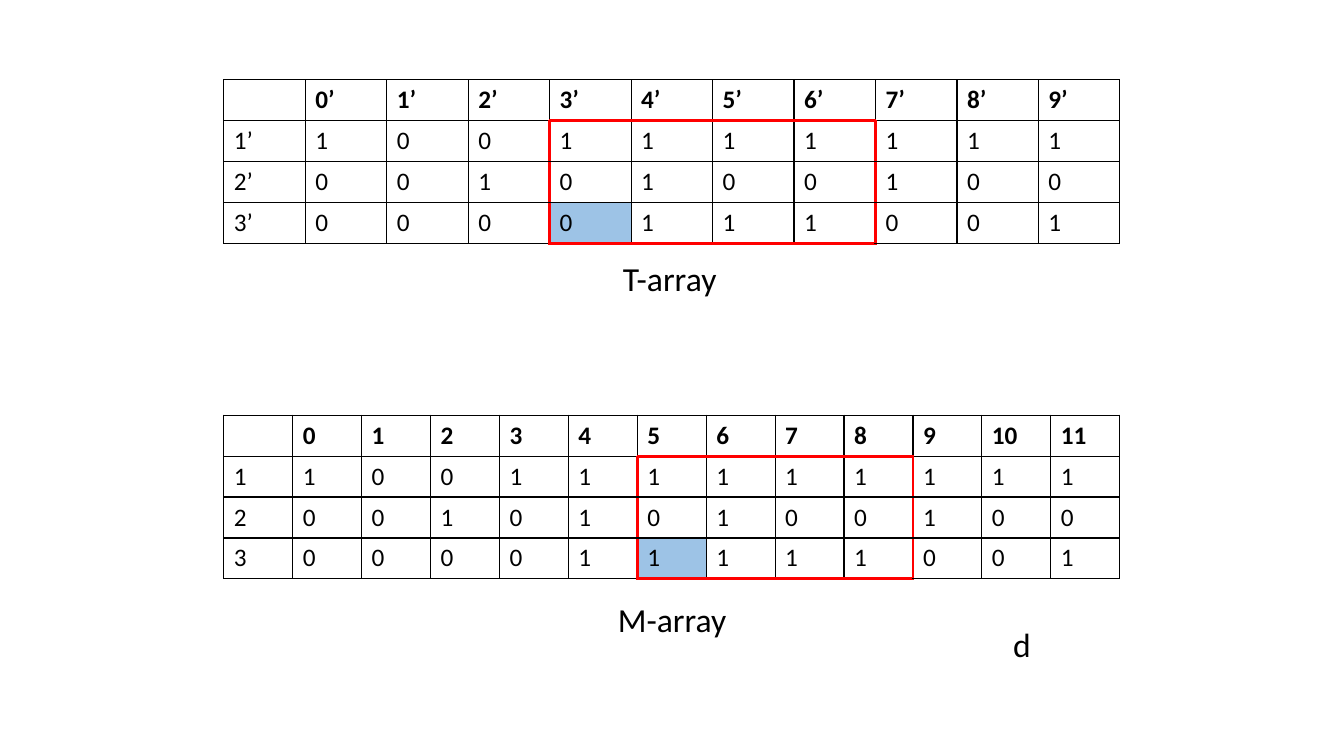
from lxml import etree
from pptx import Presentation
from pptx.dml.color import RGBColor
from pptx.enum.text import MSO_AUTO_SIZE
from pptx.oxml.ns import qn
from pptx.util import Inches, Pt

SHAPE_TO_FIT = MSO_AUTO_SIZE.SHAPE_TO_FIT_TEXT

BLACK = RGBColor(0x00, 0x00, 0x00)
RED = RGBColor(0xFF, 0x00, 0x00)
BLUE = RGBColor(0x9D, 0xC3, 0xE6)

FONT = "Calibri"
TABLE_LEFT, TABLE_WIDTH, ROW_HEIGHT = 2.22, 8.89, 0.405
CAPTION_HEIGHT = 0.5
WINDOW_COLUMNS = 4
# Border tag and the step (row, column) to the neighbour across it
SIDES = (("a:lnL", 0, -1), ("a:lnR", 0, 1), ("a:lnT", -1, 0), ("a:lnB", 1, 0))

T_ROWS = (
    ("", "0’", "1’", "2’", "3’", "4’", "5’", "6’", "7’", "8’", "9’"),
    ("1’", *"1001111111"),
    ("2’", *"0010100100"),
    ("3’", *"0000111001"),
)
M_ROWS = (
    ("", *map(str, range(12))),
    ("1", *"100111111111"),
    ("2", *"001010100100"),
    ("3", *"000011111001"),
)


def write_text(frame, text, size, bold=False):
    span = frame.paragraphs[0].add_run()
    span.text = text
    span.font.name = FONT
    span.font.size = Pt(size)
    span.font.bold = bold
    span.font.color.rgb = BLACK


def add_border(cell, tag, color, width):
    properties = cell._tc.get_or_add_tcPr()
    line = etree.SubElement(properties, qn(tag), w=str(Pt(width)))
    fill = etree.SubElement(line, qn("a:solidFill"))
    etree.SubElement(fill, qn("a:srgbClr"), val=str(color))


def add_array(page, top, rows, window_start):
    """Draw a bit array with a red window below the header, its lower left cell shaded."""
    row_count, column_count = len(rows), len(rows[0])
    table = page.shapes.add_table(
        row_count, column_count, Inches(TABLE_LEFT), Inches(top),
        Inches(TABLE_WIDTH), Inches(ROW_HEIGHT * row_count)).table
    table.first_row = table.horz_banding = False
    for column in table.columns:
        column.width = Inches(TABLE_WIDTH / column_count)

    def in_window(row, column):
        return (1 <= row < row_count
                and window_start <= column < window_start + WINDOW_COLUMNS)

    for row, values in enumerate(rows):
        for column, value in enumerate(values):
            cell = table.cell(row, column)
            if value:
                write_text(cell.text_frame, value, 18, bold=row == 0)
            for tag, down, right in SIDES:
                on_edge = in_window(row, column) != in_window(row + down, column + right)
                add_border(cell, tag, *((RED, 2.25) if on_edge else (BLACK, 1)))
            if (row, column) == (row_count - 1, window_start):
                cell.fill.solid()
                cell.fill.fore_color.rgb = BLUE
            else:
                cell.fill.background()


def add_caption(page, left, top, width, text):
    box = page.shapes.add_textbox(
        Inches(left), Inches(top), Inches(width), Inches(CAPTION_HEIGHT))
    box.text_frame.word_wrap = False
    box.text_frame.auto_size = SHAPE_TO_FIT
    write_text(box.text_frame, text, 24)


def main():
    deck = Presentation()
    deck.slide_width, deck.slide_height = Inches(13.33), Inches(7.5)
    page = deck.slides.add_slide(deck.slide_layouts[6])
    add_array(page, 0.79, T_ROWS, window_start=4)
    add_array(page, 4.12, M_ROWS, window_start=6)
    add_caption(page, 6.08, 2.51, 1.17, "T-array")
    add_caption(page, 6.03, 5.89, 1.28, "M-array")
    add_caption(page, 9.95, 6.14, 0.32, "d")
    deck.save("out.pptx")


if __name__ == "__main__":
    main()
